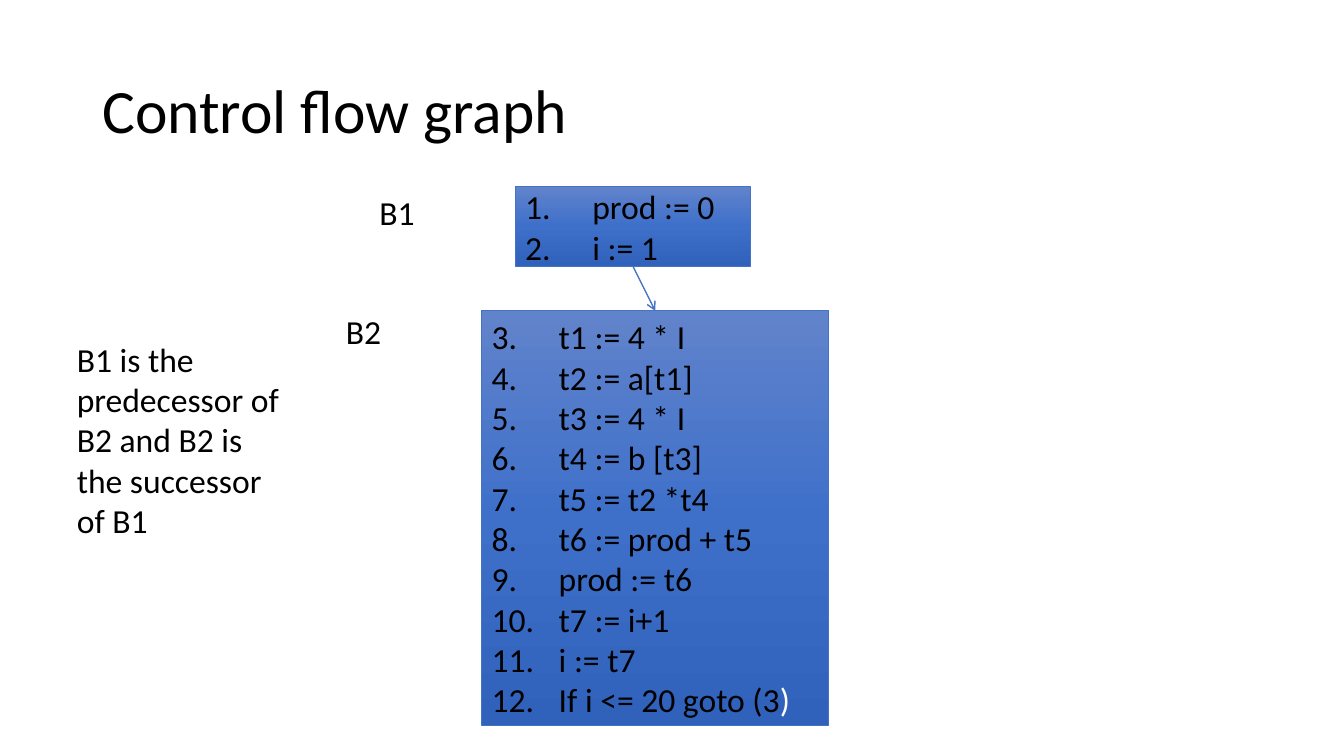
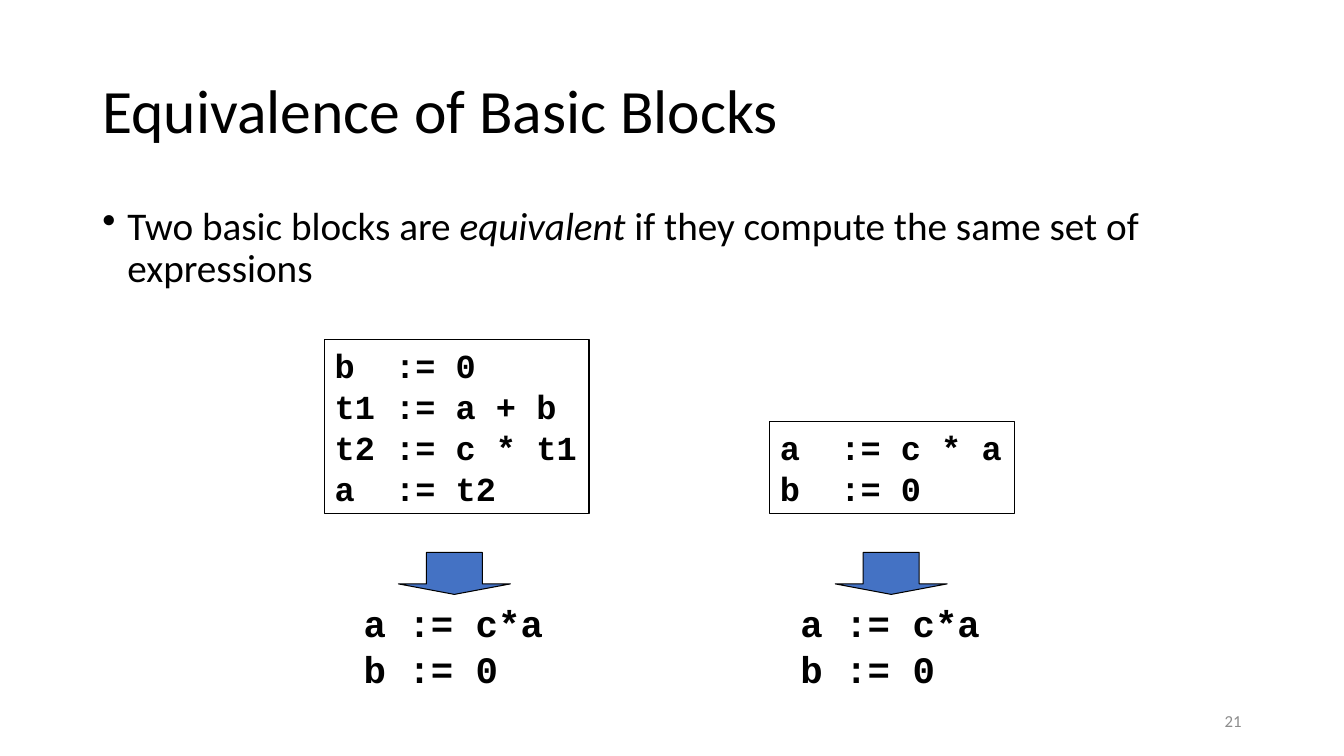
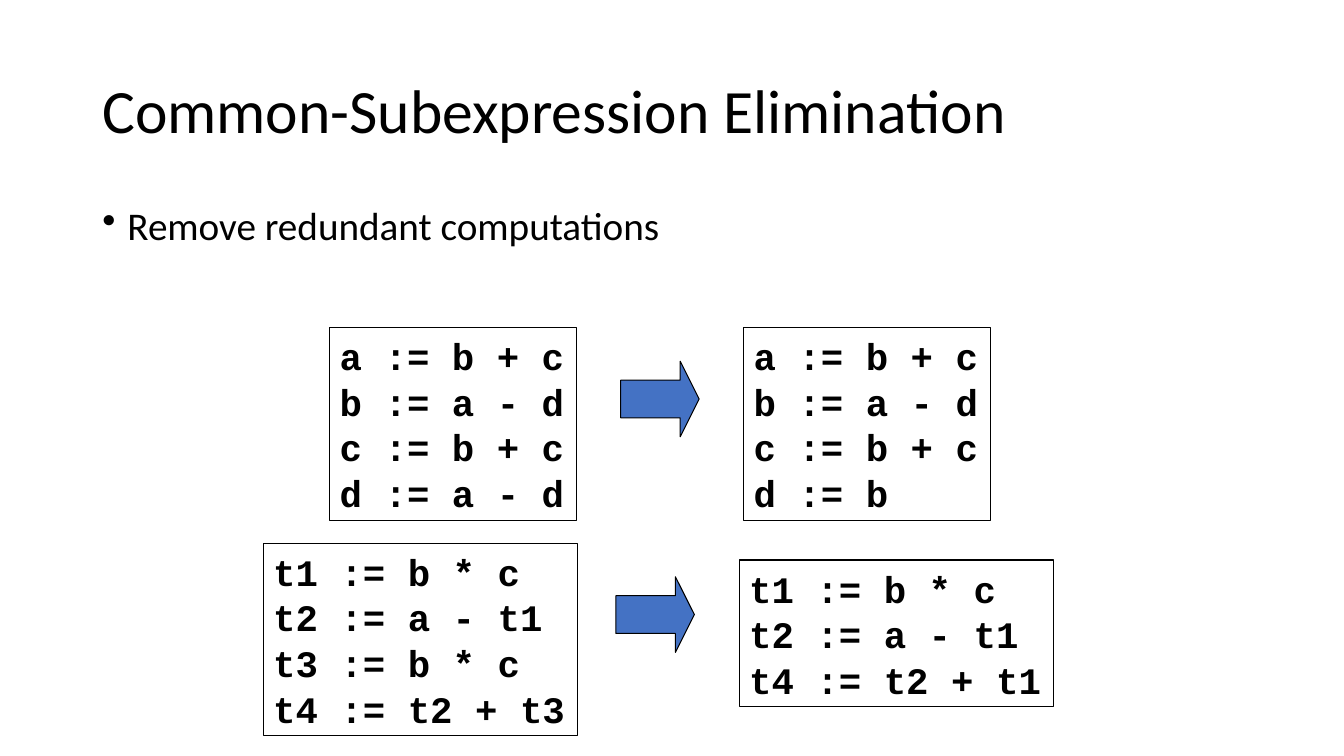
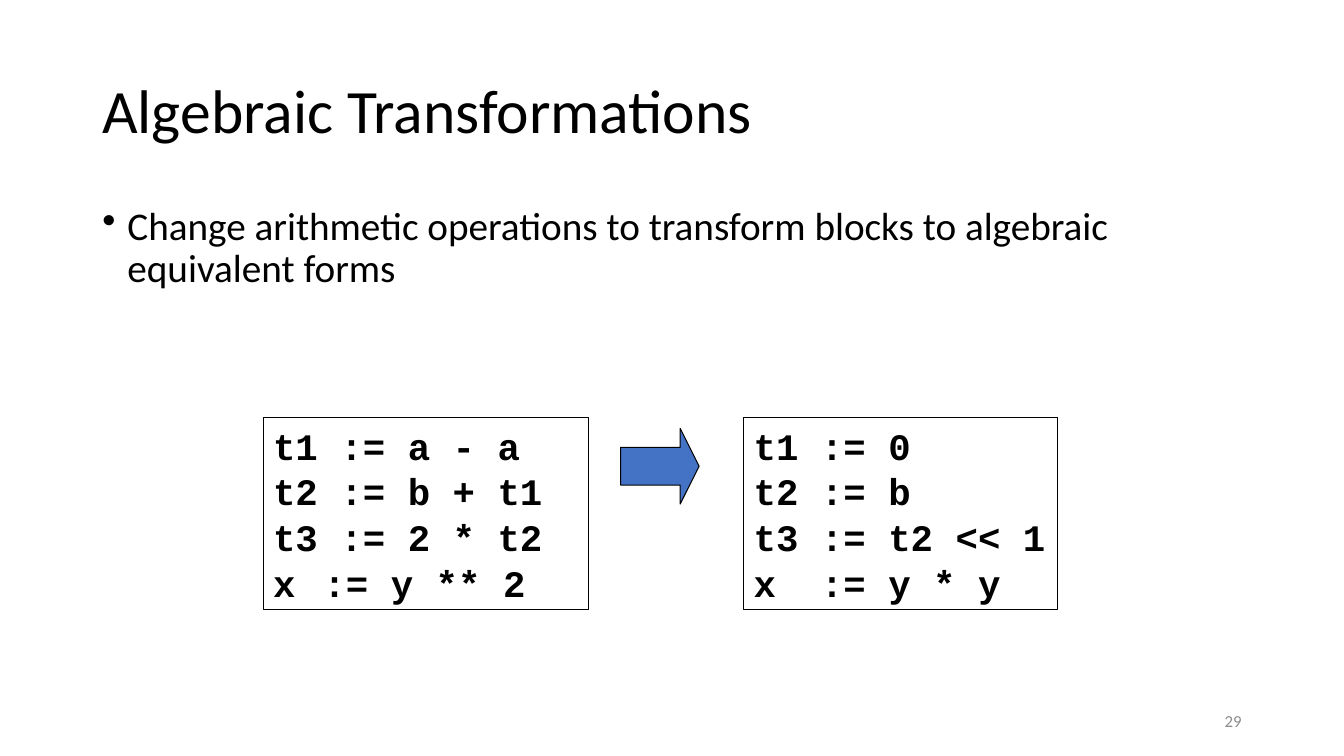
from copy import deepcopy

from lxml.etree import SubElement
from pptx import Presentation
from pptx.dml.color import RGBColor
from pptx.enum.shapes import MSO_CONNECTOR, MSO_SHAPE
from pptx.enum.text import MSO_ANCHOR, PP_ALIGN
from pptx.oxml.ns import qn
from pptx.util import Pt

COLUMNS, ROWS = 48, 27
CELL_POINTS = 20
CELL = Pt(CELL_POINTS)

BLACK = RGBColor(0x00, 0x00, 0x00)
WHITE = RGBColor(0xFF, 0xFF, 0xFF)
GREY = RGBColor(0x8C, 0x8C, 0x8C)
BLUE = RGBColor(0x44, 0x72, 0xC4)
GRADIENT = (
    (0, RGBColor(0x61, 0x83, 0xCB)),
    (0.5, RGBColor(0x3E, 0x70, 0xCA)),
    (1, RGBColor(0x30, 0x62, 0xBB)),
)

BODY_FONT = "Calibri"
CODE_FONT = "Courier New"
CODE_SIZE = 26.7
CODE_LEADING = 1.22
CODE_ADVANCE = 0.6

TITLE_AREA = (3.3, 1.44, 41.4, 5.22)
BODY_AREA = (3.3, 7.2, 41.4, 17.1)
NUMBER_AREA = (33.9, 25.02, 10.8, 1.44)


def cells(*lengths):
    """Turn grid lengths into slide units."""
    return [round(length * CELL) for length in lengths]


def set_bullet(para, indent, tag, **attributes):
    """Give a paragraph a hanging bullet or number."""
    properties = para._p.get_or_add_pPr()
    hang = cells(indent)[0]
    properties.set("marL", str(hang))
    properties.set("indent", str(-hang))
    SubElement(properties, qn(tag), **attributes)


def write_text(box, lines, size=24, font=BODY_FONT, color=BLACK, bold=False,
               align=PP_ALIGN.LEFT, anchor=MSO_ANCHOR.TOP, spacing=None,
               before=0, wrap=True, bullet=None):
    """Fill a box with lines, each a string or a list of (text, format) spans."""
    frame = box.text_frame
    frame.word_wrap = wrap
    frame.vertical_anchor = anchor
    for index, line in enumerate(lines):
        para = frame.add_paragraph() if index else frame.paragraphs[0]
        para.alignment = align
        para.line_spacing = spacing
        para.space_before = Pt(before)
        if bullet:
            set_bullet(para, **bullet)
        for text, changes in [(line, {})] if isinstance(line, str) else line:
            span = para.add_run()
            span.text = text
            span.font.name = font
            span.font.size = Pt(size)
            span.font.bold = bold
            span.font.italic = changes.get("italic", False)
            span.font.color.rgb = changes.get("color", color)


def add_text(page, area, lines, **text_format):
    """Add a text box on the grid."""
    box = page.shapes.add_textbox(*cells(*area))
    write_text(box, lines, **text_format)
    return box


def add_page(deck, title, body=None, number=None):
    """Add a slide with its title, bullet and page number."""
    page = deck.slides.add_slide(deck.slide_layouts[6])
    add_text(page, TITLE_AREA, [title], size=44, spacing=0.9,
             anchor=MSO_ANCHOR.MIDDLE)
    if body:
        add_text(page, BODY_AREA, [body], size=28, spacing=0.9, before=10,
                 bullet={"indent": 0.9, "tag": "a:buChar", "char": "•"})
    if number:
        add_text(page, NUMBER_AREA, [number], size=12, color=GREY,
                 align=PP_ALIGN.RIGHT, anchor=MSO_ANCHOR.MIDDLE)
    return page


def add_basic_block(page, area, lines, start):
    """Add a gradient rectangle with numbered statements."""
    block = page.shapes.add_shape(MSO_SHAPE.RECTANGLE, *cells(*area))
    block.shadow.inherit = False
    block.line.color.rgb = BLUE
    block.line.width = Pt(0.5)
    block.fill.gradient()
    block.fill.gradient_angle = 270
    stop_list = block._element.spPr.find(".//" + qn("a:gsLst"))
    stop_list.append(deepcopy(stop_list[-1]))
    for stop, (position, color) in zip(block.fill.gradient_stops, GRADIENT):
        stop.position = position
        stop.color.rgb = color
    write_text(block, lines, anchor=MSO_ANCHOR.MIDDLE,
               bullet={"indent": 2.4, "tag": "a:buAutoNum",
                       "type": "arabicPeriod", "startAt": str(start)})
    return block


def join_blocks(page, upper, lower):
    """Draw an arrow from the bottom of one block to the top of the next."""
    link = page.shapes.add_connector(MSO_CONNECTOR.STRAIGHT, 0, 0, 0, 0)
    link.begin_connect(upper, 2)
    link.end_connect(lower, 0)
    link.line.color.rgb = BLUE
    link.line.width = Pt(1)
    SubElement(link.line._get_or_add_ln(), qn("a:tailEnd"), type="arrow")
    SubElement(link._element.spPr, qn("a:effectLst"))


def code_height(lines, size):
    """Give the height in cells that code lines need."""
    return len(lines) * CODE_LEADING * size / CELL_POINTS + 0.36


def add_code(page, left, top, lines, size=CODE_SIZE, width=None, outline=True):
    """Add code in a box sized to its text."""
    longest = max(map(len, lines))
    width = width or longest * CODE_ADVANCE * size / CELL_POINTS + 0.8
    box = add_text(page, (left, top, width, code_height(lines, size)), lines,
                   size=size, font=CODE_FONT, bold=True, wrap=False,
                   spacing=Pt(CODE_LEADING * size))
    if outline:
        box.line.color.rgb = BLACK
        box.line.width = Pt(0.75)


def add_block_arrow(page, kind, left, top, width, height):
    """Add a blue block arrow with a black outline."""
    arrow = page.shapes.add_shape(kind, *cells(left, top, width, height))
    arrow.adjustments[0] = 0.5
    arrow.adjustments[1] = 0.25
    arrow.shadow.inherit = False
    arrow.fill.solid()
    arrow.fill.fore_color.rgb = BLUE
    arrow.line.color.rgb = BLACK
    arrow.line.width = Pt(0.75)


def add_rewrite(page, before, after, arrow):
    """Show code before and after a transformation, with an arrow between."""
    add_code(page, **before)
    add_code(page, **after)
    add_block_arrow(page, MSO_SHAPE.RIGHT_ARROW, *arrow, 2.8, 2.7)


def build_flow_graph(deck):
    """Build the control flow graph slide."""
    page = add_page(deck, "Control flow graph")
    first = add_basic_block(page, (18.4, 6.67, 8.4, 2.83),
                            ["prod := 0", "i := 1"], 1)
    second = add_basic_block(page, (17.2, 11.1, 12.4, 14.8), [
        "t1 := 4 * I", "t2 := a[t1]", "t3 := 4 * I", "t4 := b [t3]",
        "t5 := t2 *t4", "t6 := prod + t5", "prod := t6", "t7 := i+1",
        "i := t7", [("If i <= 20 goto (3", {}), (")", {"color": WHITE})],
    ], 3)
    join_blocks(page, first, second)
    add_text(page, (13.2, 6.67, 4, 1.8), ["B1"])
    add_text(page, (12, 10.93, 4, 1.8), ["B2"])
    add_text(page, (2.39, 11.92, 8, 7.65),
             ["B1 is the predecessor of B2 and B2 is the successor of B1"])


def build_equivalence(deck):
    """Build the slide on equivalent blocks."""
    page = add_page(deck, "Equivalence of Basic Blocks", [
        ("Two basic blocks are ", {}), ("equivalent", {"italic": True}),
        (" if they compute the same set of expressions", {}),
    ], "21")
    bottom, size = 18.35, 24
    blocks = (
        (11.6, 16.23, ["b  := 0", "t1 := a + b", "t2 := c * t1", "a  := t2"]),
        (27.5, 31.83, ["a  := c * a", "b  := 0"]),
    )
    for left, center, lines in blocks:
        add_code(page, left, bottom - code_height(lines, size), lines, size)
        add_code(page, center - 3.6, 21.24, ["a := c*a", "b := 0"],
                 width=7.2, outline=False)
        add_block_arrow(page, MSO_SHAPE.DOWN_ARROW, center - 2, 19.73, 4, 1.5)


def build_elimination(deck):
    """Build the slide on common subexpressions."""
    page = add_page(deck, "Common-Subexpression Elimination",
                    "Remove redundant computations")
    shared = ["a := b + c", "b := a - d", "c := b + c"]
    add_rewrite(page,
                {"left": 11.78, "top": 11.7, "lines": shared + ["d := a - d"]},
                {"left": 26.56, "top": 11.7, "lines": shared + ["d := b"]},
                (22.17, 12.9))
    shared = ["t1 := b * c", "t2 := a - t1"]
    add_rewrite(page,
                {"left": 9.4, "top": 19.4,
                 "lines": shared + ["t3 := b * c", "t4 := t2 + t3"]},
                {"left": 26.4, "top": 20, "lines": shared + ["t4 := t2 + t1"]},
                (22, 20.6))


def build_algebra(deck):
    """Build the slide on algebraic transformations."""
    page = add_page(deck, "Algebraic Transformations",
                    "Change arithmetic operations to transform blocks to "
                    "algebraic equivalent forms", "29")
    add_rewrite(page,
                {"left": 9.4, "top": 14.9, "width": 11.63,
                 "lines": ["t1 := a - a", "t2 := b + t1", "t3 := 2 * t2",
                           "x \t:= y ** 2"]},
                {"left": 26.56, "top": 14.9,
                 "lines": ["t1 := 0", "t2 := b", "t3 := t2 << 1",
                           "x  := y * y"]},
                (22.17, 15.3))


def main():
    """Build the deck and save it."""
    deck = Presentation()
    deck.slide_width, deck.slide_height = cells(COLUMNS, ROWS)
    build_flow_graph(deck)
    build_equivalence(deck)
    build_elimination(deck)
    build_algebra(deck)
    deck.save("out.pptx")


if __name__ == "__main__":
    main()
